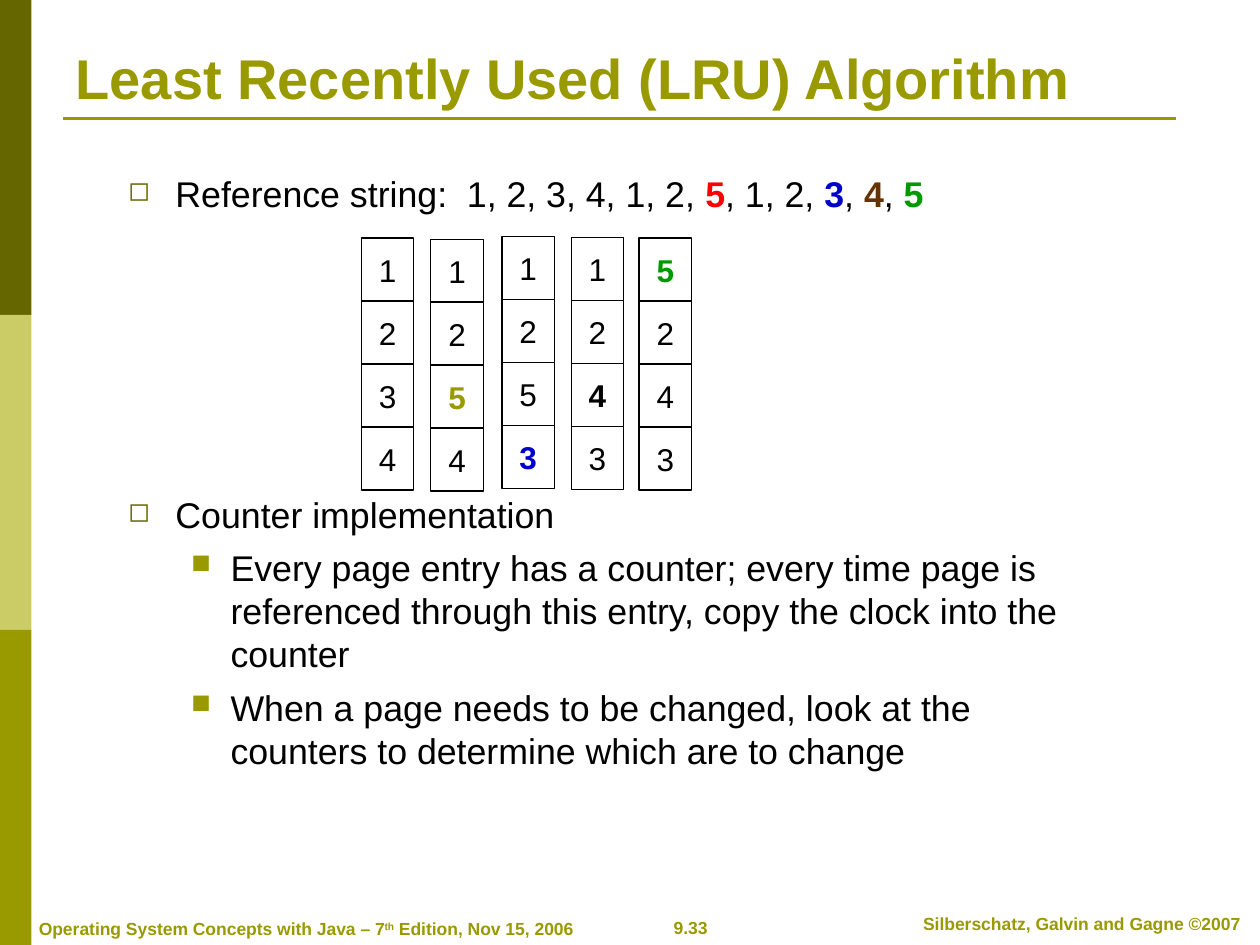
from dataclasses import dataclass

from lxml.etree import SubElement
from pptx import Presentation
from pptx.dml.color import RGBColor
from pptx.enum.shapes import MSO_CONNECTOR, MSO_SHAPE
from pptx.enum.text import MSO_ANCHOR, PP_ALIGN
from pptx.oxml.ns import qn
from pptx.util import Pt

FONT = "Arial"
OLIVE, DARK_OLIVE, PALE_OLIVE = "999900", "666600", "CCCC66"
BLACK, WHITE, RED, BLUE, BROWN, GREEN = (
    "000000", "FFFFFF", "FF0000", "0000CC", "663300", "009900")
CELL_W, CELL_H = 30, 36


@dataclass
class Span:
    text: str
    color: str = BLACK
    bold: bool = False
    raised: bool = False


@dataclass
class Bullet:
    spans: list[Span]
    level: int = 0
    before: float = 0


@dataclass
class Footer:
    left: float
    top: float
    width: float
    align: PP_ALIGN
    spans: list[Span]


@dataclass
class FrameColumn:
    left: float
    top: float
    pages: list[Span]


@dataclass
class BulletStyle:
    char: str
    color: str
    margin: float
    hanging: float


BULLET_STYLES = [BulletStyle("◻", DARK_OLIVE, 27, 27),
                 BulletStyle("■", OLIVE, 58.5, 22.5)]


def rgb(value: str) -> RGBColor:
    return RGBColor.from_string(value)


def add_runs(p, spans: list[Span], size: float) -> None:
    for span in spans:
        r = p.add_run()
        r.text = span.text
        r.font.name, r.font.size, r.font.bold = FONT, Pt(size), span.bold
        r.font.color.rgb = rgb(span.color)
        if span.raised:
            r.font._element.set("baseline", "30000")


def add_rect(s, left: float, top: float, width: float, height: float, fill: str):
    sp = s.shapes.add_shape(MSO_SHAPE.RECTANGLE, Pt(left), Pt(top), Pt(width), Pt(height))
    sp.shadow.inherit = False
    sp.fill.solid()
    sp.fill.fore_color.rgb = rgb(fill)
    sp.line.fill.background()
    return sp


def add_rule(s, x1: float, x2: float, y: float) -> None:
    line = s.shapes.add_connector(MSO_CONNECTOR.STRAIGHT, Pt(x1), Pt(y), Pt(x2), Pt(y))
    line.line.color.rgb = rgb(OLIVE)
    line.line.width = Pt(1.5)
    SubElement(line._element.spPr, qn("a:effectLst"))


def add_footer(s, footer: Footer) -> None:
    sp = s.shapes.add_textbox(Pt(footer.left), Pt(footer.top), Pt(footer.width), Pt(19.4))
    sp.text_frame.word_wrap = False
    p = sp.text_frame.paragraphs[0]
    p.alignment = footer.align
    add_runs(p, footer.spans, 10)


def add_bullet(p, bullet: Bullet) -> None:
    style = BULLET_STYLES[bullet.level]
    p.level = bullet.level
    pPr = p._p.get_or_add_pPr()
    pPr.set("marL", str(Pt(style.margin)))
    pPr.set("indent", str(-Pt(style.hanging)))
    color = SubElement(pPr, qn("a:buClr"))
    SubElement(color, qn("a:srgbClr"), val=style.color)
    SubElement(pPr, qn("a:buSzPct"), val="75000")
    SubElement(pPr, qn("a:buChar"), char=style.char)
    p.line_spacing = Pt(24.6)
    p.space_before = Pt(bullet.before)
    add_runs(p, bullet.spans, 20.4)


def add_column(s, column: FrameColumn) -> None:
    for row, page in enumerate(column.pages):
        sp = add_rect(s, column.left, column.top + row * CELL_H, CELL_W, CELL_H, WHITE)
        sp.line.color.rgb = rgb(BLACK)
        sp.line.width = Pt(0.75)
        tf = sp.text_frame
        tf.word_wrap = False
        tf.vertical_anchor = MSO_ANCHOR.MIDDLE
        tf.paragraphs[0].alignment = PP_ALIGN.CENTER
        add_runs(tf.paragraphs[0], [page], 18)


BULLETS = [
    Bullet([Span("Reference string:  1, 2, 3, 4, 1, 2, "), Span("5", RED, True),
            Span(", 1, 2, "), Span("3", BLUE, True), Span(", "),
            Span("4", BROWN, True), Span(", "), Span("5", GREEN, True)]),
    # Leaves room for the page frames
    Bullet([Span("Counter implementation")], before=158.8),
    Bullet([Span("Every page entry has a counter; every time page is referenced "
                 "through this entry, copy the clock into the counter")], 1, 6),
    Bullet([Span("When a page needs to be changed, look at the counters to "
                 "determine which are to change")], 1, 6),
]

COLUMNS = [
    FrameColumn(206.5, 136, [Span("1"), Span("2"), Span("3"), Span("4")]),
    FrameColumn(246.2, 136.7, [Span("1"), Span("2"), Span("5", OLIVE, True), Span("4")]),
    FrameColumn(286.8, 135.2, [Span("1"), Span("2"), Span("5"), Span("3", BLUE, True)]),
    FrameColumn(326.4, 135.6, [Span("1"), Span("2"), Span("4", BLACK, True), Span("3")]),
    FrameColumn(365.2, 136.1, [Span("5", GREEN, True), Span("2"), Span("4"), Span("3")]),
]

FOOTERS = [
    Footer(359.3, 520.6, 70.6, PP_ALIGN.CENTER, [Span("9.33", OLIVE, True)]),
    Footer(511.2, 518.4, 213.8, PP_ALIGN.CENTER,
           [Span("Silberschatz, Galvin and Gagne ©2007", OLIVE, True)]),
    Footer(15.1, 521.3, 319.7, PP_ALIGN.LEFT,
           [Span("Operating System Concepts with Java – 7", OLIVE, True),
            Span("th", OLIVE, True, raised=True),
            Span(" Edition, Nov 15, 2006", OLIVE, True)]),
]


def main() -> None:
    prs = Presentation()
    prs.slide_width, prs.slide_height = Pt(720), Pt(540)
    s = prs.slides.add_slide(prs.slide_layouts[5])

    # Side bands and title rule
    for i, color in enumerate([DARK_OLIVE, PALE_OLIVE, OLIVE]):
        add_rect(s, 0, i * 180, 18, 180, color)
    add_rule(s, 36, 672, 67.7)

    # Title
    title = s.shapes.title
    title.left, title.top, title.width, title.height = Pt(36), Pt(21.6), Pt(648), Pt(45.4)
    title.text_frame.vertical_anchor = MSO_ANCHOR.BOTTOM
    p = title.text_frame.paragraphs[0]
    p.alignment = PP_ALIGN.LEFT
    add_runs(p, [Span("Least Recently Used (LRU) Algorithm", OLIVE, True)], 32)

    # Body text
    body = s.shapes.add_textbox(Pt(66.2), Pt(94.3), Pt(579), Pt(352.8))
    tf = body.text_frame
    tf.word_wrap = True
    for i, bullet in enumerate(BULLETS):
        add_bullet(tf.add_paragraph() if i else tf.paragraphs[0], bullet)

    # Page frames after each fault
    for column in COLUMNS:
        add_column(s, column)

    # Footer
    for footer in FOOTERS:
        add_footer(s, footer)

    prs.save("out.pptx")


if __name__ == "__main__":
    main()
